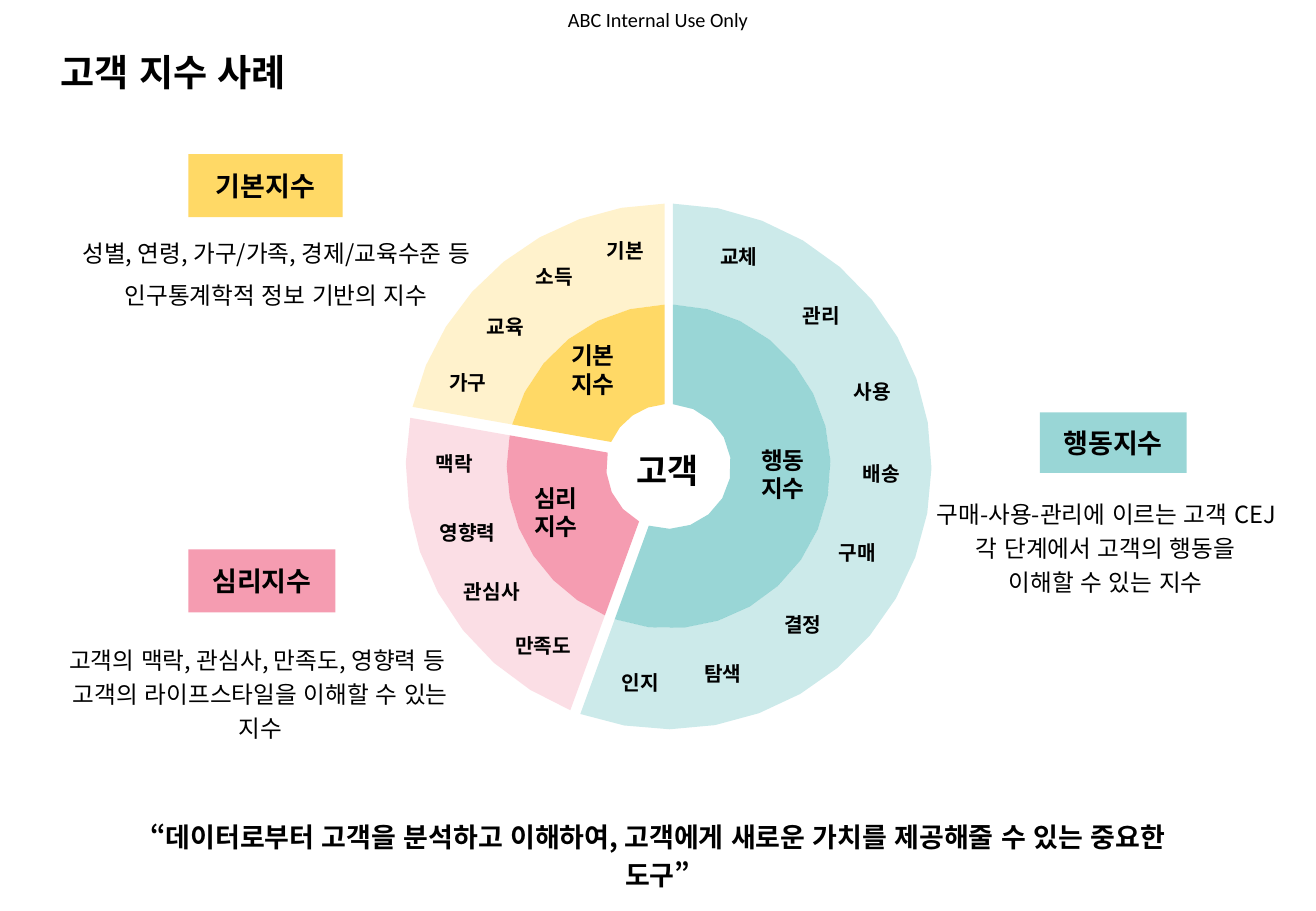
"""Build the customer index slide with its two-ring sector diagram."""
from math import acos, asin, ceil, cos, degrees, radians, sin

from lxml import etree
from pptx import Presentation
from pptx.dml.color import RGBColor
from pptx.enum.lang import MSO_LANGUAGE_ID
from pptx.enum.shapes import MSO_SHAPE
from pptx.enum.text import MSO_ANCHOR, MSO_AUTO_SIZE, PP_ALIGN
from pptx.oxml.ns import qn
from pptx.util import Pt

LEFT, CENTER = PP_ALIGN.LEFT, PP_ALIGN.CENTER
TOP, MIDDLE = MSO_ANCHOR.TOP, MSO_ANCHOR.MIDDLE
GROW = MSO_AUTO_SIZE.SHAPE_TO_FIT_TEXT
RECT = MSO_SHAPE.RECTANGLE
KOREAN = MSO_LANGUAGE_ID.KOREAN
TITLE_ONLY = 5

BLACK = RGBColor(0x00, 0x00, 0x00)
YELLOW = RGBColor(0xFF, 0xC0, 0x00)
PINK = RGBColor(0xEF, 0x5B, 0x7D)
TEAL = RGBColor(0x00, 0x99, 0x99)

FONT = "Noto Sans CJK KR"
CX, CY = 396.3, 276.5
R_HOLE, R_CORE, R_RIM = 37, 96, 155.8
ARC_TOLERANCE = 0.6

SECTORS = [
    (YELLOW, 60, (280, 8.4), (360, -2.3)),
    (TEAL, 40, (0, 2.5), (200, -1)),
    (PINK, 60, (200, 5.3), (280, 1.8)),
]
CORE_LABELS = [
    ("기본\n지수", 351.5, 198.7),
    ("행동\n지수", 464, 260.6),
    ("심리\n지수", 329.5, 283),
]
RIM_LABELS = [
    ("교체", 438, 141), ("관리", 486.8, 176.4), ("사용", 517, 221.3),
    ("배송", 522.4, 270), ("구매", 508.3, 316.8), ("결정", 475.8, 359.3),
    ("탐색", 428.4, 388.3), ("인지", 379.7, 393.8), ("만족도", 322, 371.8),
    ("관심사", 291.6, 339.8), ("영향력", 277.2, 304.6), ("맥락", 269.3, 264.2),
    ("가구", 277.3, 216), ("교육", 299.5, 182.9), ("소득", 328.7, 152.9),
    ("기본", 370.5, 137.5),
]
TAGS = [
    ("기본지수", YELLOW, 60, (111.7, 91.4, 91.4, 37.4)),
    ("심리지수", PINK, 60, (111.7, 325.6, 87.1, 37.4)),
    ("행동지수", TEAL, 40, (616.3, 244.4, 87.1, 36)),
]
NOTES = [
    ("성별, 연령, 가구/가족, 경제/교육수준 등\n인구통계학적 정보 기반의 지수",
     (30.2, 129.6, 267.1, 55.4), 1.5),
    ("고객의 맥락, 관심사, 만족도, 영향력 등 \n고객의 라이프스타일을 이해할 수 있는 지수",
     (24.4, 375.8, 260, 46.8), 1.2),
    ("구매-사용-관리에 이르는 고객 CEJ \n각 단계에서 고객의 행동을 \n이해할 수 있는 지수 ",
     (547.9, 289.4, 218.9, 67), 1.2),
]
QUOTE = "“데이터로부터 고객을 분석하고 이해하여, 고객에게 새로운 가치를 제공해줄 수 있는 중요한 도구”"


def write(tf, text, size=12, bold=False, align=CENTER, anchor=TOP, spacing=None, font=FONT):
    """Fill a text frame with one paragraph per line of text."""
    tf.word_wrap = True
    tf.vertical_anchor = anchor
    for i, line in enumerate(text.split("\n")):
        p = tf.add_paragraph() if i else tf.paragraphs[0]
        p.alignment = align
        if spacing:
            p.line_spacing = spacing
        r = p.add_run()
        r.text = line
        r.font.name, r.font.size, r.font.bold = font, Pt(size), bold
        r.font.color.rgb = BLACK
        r.font.language_id = KOREAN
        r.font._element.set("kern", "0")
        etree.SubElement(r.font._element, qn("a:ea"), typeface=font)


def add_text(shapes, text, box, **fmt):
    """Add a text box that grows with its text."""
    tf = shapes.add_textbox(*map(Pt, box)).text_frame
    write(tf, text, **fmt)
    tf.auto_size = GROW
    return tf


def add_label(shapes, text, x, top, width=50, height=21.6, **fmt):
    """Add a bold label centred on x."""
    add_text(shapes, text, (x - width / 2, top, width, height), bold=True, **fmt)


def paint(sp, color, opacity):
    """Give a shape a translucent fill without line or shadow."""
    sp.shadow.inherit = False
    sp.line.fill.background()
    sp.fill.solid()
    sp.fill.fore_color.rgb = color
    clr = sp._element.spPr.find(qn("a:solidFill"))[0]
    etree.SubElement(clr, qn("a:alpha"), val=str(opacity * 1000))


def arc(radius, start, end):
    """Return the fewest points that keep an arc between two shifted edges smooth."""
    a, b = (radians(angle) + asin(shift / radius) for angle, shift in (start, end))
    step = 2 * acos(1 - ARC_TOLERANCE / radius)
    n = ceil((b - a) / step)
    turns = [a + (b - a) * i / n for i in range(n + 1)]
    return [(CX + radius * sin(t), CY - radius * cos(t)) for t in turns]


def add_sector(shapes, inner, outer, start, end, color, opacity):
    """Add one ring sector."""
    points = arc(outer, start, end) + arc(inner, start, end)[::-1]
    points = [(Pt(x), Pt(y)) for x, y in points]
    fb = shapes.build_freeform(*points[0])
    fb.add_line_segments(points[1:], close=True)
    paint(fb.convert_to_shape(), color, opacity)


def add_tag(shapes, text, color, opacity, box):
    """Add a coloured heading rectangle."""
    sp = shapes.add_shape(RECT, *map(Pt, box))
    paint(sp, color, opacity)
    write(sp.text_frame, text, size=16, bold=True, anchor=MIDDLE)


def add_title(s, text, box):
    """Place and format the title placeholder."""
    sp = s.shapes.title
    sp.left, sp.top, sp.width, sp.height = map(Pt, box)
    write(sp.text_frame, text, size=22, bold=True, align=LEFT)
    sp.text_frame.auto_size = GROW


def add_wheel(shapes):
    """Add the grouped rings with the centre label."""
    wheel = shapes.add_group_shape().shapes
    for color, opacity, start, end in SECTORS:
        add_sector(wheel, R_HOLE, R_CORE, start, end, color, opacity)
        add_sector(wheel, R_CORE, R_RIM, start, end, color, 20)
    add_label(wheel, "고객", 395.7, 263.3, width=70, height=31.7, size=20)


def main():
    """Build and save the slide."""
    prs = Presentation()
    prs.slide_width, prs.slide_height = Pt(780), Pt(540)
    s = prs.slides.add_slide(prs.slide_layouts[TITLE_ONLY])
    shapes = s.shapes

    tf = add_text(shapes, "ABC Internal Use Only", (324, 0, 132, 23), anchor=MIDDLE, font="Calibri")
    tf.margin_left = tf.margin_right = tf.margin_top = tf.margin_bottom = 0
    add_title(s, "고객 지수 사례", (28.8, 25.9, 390, 36))
    add_wheel(shapes)
    for text, x, top in RIM_LABELS:
        add_label(shapes, text, x, top)
    for text, x, top in CORE_LABELS:
        add_label(shapes, text, x, top, height=41, size=14)
    for tag in TAGS:
        add_tag(shapes, *tag)
    for text, box, spacing in NOTES:
        add_text(shapes, text, box, size=14, spacing=spacing)
    add_text(shapes, QUOTE, (68.4, 478.8, 643, 28.8), size=16, bold=True, spacing=1.2)
    prs.save("out.pptx")


if __name__ == "__main__":
    main()
